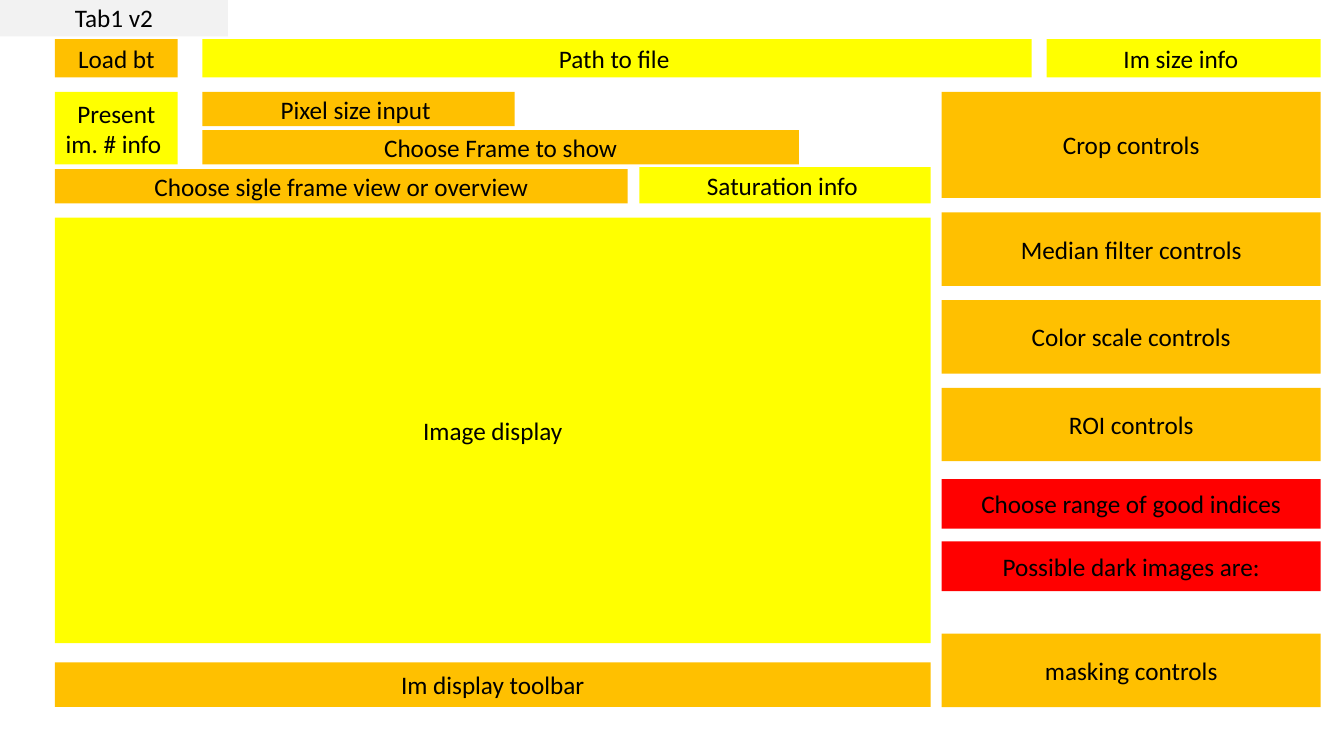
from pptx import Presentation
from pptx.dml.color import RGBColor
from pptx.enum import shapes, text
from pptx.util import Pt

COLORS = {
    "control": "FFC000",
    "info": "FFFF00",
    "pending": "FF0000",
    "tab": "F2F2F2",
    "text": "000000",
}

# Column edges of the layout, in points
LEFT, INDENT, MAIN_RIGHT = 39.2, 144.5, 664.8
SIDE, SIDE_WIDTH = 672.7, 270.7
BUTTON_WIDTH = 87.8

# Rows of the layout, in points
TOP_ROW, TOP_HEIGHT = 27.9, 27.4
SECOND_ROW = 65.6
BAR_HEIGHT = 24.5

# Side panels of equal height
FILTER_TOP, FILTER_STEP, PANEL_HEIGHT = 151.8, 62.6, 52.5
RANGE_TOP, RANGE_STEP, RANGE_HEIGHT = 342.2, 44.6, 35.5


def format_box(sp, label, kind):
    """Fill a shape and centre its label."""
    sp.fill.solid()
    sp.fill.fore_color.rgb = RGBColor.from_string(COLORS[kind])
    sp.line.fill.background()
    tf = sp.text_frame
    tf.text = label
    tf.word_wrap = True
    tf.auto_size = text.MSO_AUTO_SIZE.NONE
    tf.vertical_anchor = text.MSO_ANCHOR.MIDDLE
    p = tf.paragraphs[0]
    p.alignment = text.PP_ALIGN.CENTER
    p.font.name = "Calibri"
    p.font.size = Pt(18)
    p.font.color.rgb = RGBColor.from_string(COLORS["text"])


def add_title(s, label, left, top, width, height):
    sp = s.shapes.title
    sp.left, sp.top, sp.width, sp.height = map(Pt, (left, top, width, height))
    format_box(sp, label, "tab")
    sp.text_frame.margin_top = Pt(2.2)


def add_box(s, label, kind, left, top, width, height):
    sp = s.shapes.add_shape(
        shapes.MSO_SHAPE.RECTANGLE, *map(Pt, (left, top, width, height)))
    sp.shadow.inherit = False
    format_box(sp, label, kind)


def add_side_panel(s, label, kind, top, height):
    add_box(s, label, kind, SIDE, top, SIDE_WIDTH, height)


def main():
    prs = Presentation()
    prs.slide_width, prs.slide_height = Pt(960), Pt(540)
    s = prs.slides.add_slide(prs.slide_layouts[5])

    # Tab label
    add_title(s, "Tab1 v2", 0, 0, 162.8, 26)

    # File row
    add_box(s, "Load bt", "control", LEFT, TOP_ROW, BUTTON_WIDTH, TOP_HEIGHT)
    add_box(s, "Path to file ", "info", INDENT, TOP_ROW, 592.5, TOP_HEIGHT)
    add_box(s, "Im size info ", "info", 747.6, TOP_ROW, 195.8, TOP_HEIGHT)

    # Frame selection
    add_box(s, "Present im. # info ", "info", LEFT, SECOND_ROW, BUTTON_WIDTH, 51.8)
    add_box(s, "Pixel size input ", "control", INDENT, SECOND_ROW, 223.2, BAR_HEIGHT)
    add_box(s, "Choose Frame to show", "control", INDENT, 93, 426.2, BAR_HEIGHT)
    add_box(s, "Choose sigle frame view or overview", "control",
            LEFT, 120.8, 409.2, BAR_HEIGHT)
    add_box(s, "Saturation info ", "info", 456.8, 119.3, MAIN_RIGHT - 456.8, 26)

    # Image area
    add_box(s, "Image display", "info", LEFT, 155.5, MAIN_RIGHT - LEFT, 304)
    add_box(s, "Im display toolbar", "control", LEFT, 473.1, MAIN_RIGHT - LEFT, 31.8)

    # Side column
    add_side_panel(s, "Crop controls", "control", SECOND_ROW, 75.8)
    filters = ["Median filter controls", "Color scale controls", "ROI controls"]
    for i, label in enumerate(filters):
        add_side_panel(s, label, "control", FILTER_TOP + i * FILTER_STEP, PANEL_HEIGHT)
    ranges = ["Choose range of good indices", "Possible dark images are:"]
    for i, label in enumerate(ranges):
        add_side_panel(s, label, "pending", RANGE_TOP + i * RANGE_STEP, RANGE_HEIGHT)
    add_side_panel(s, "masking controls", "control", 452.7, PANEL_HEIGHT)

    prs.save("out.pptx")


if __name__ == "__main__":
    main()
